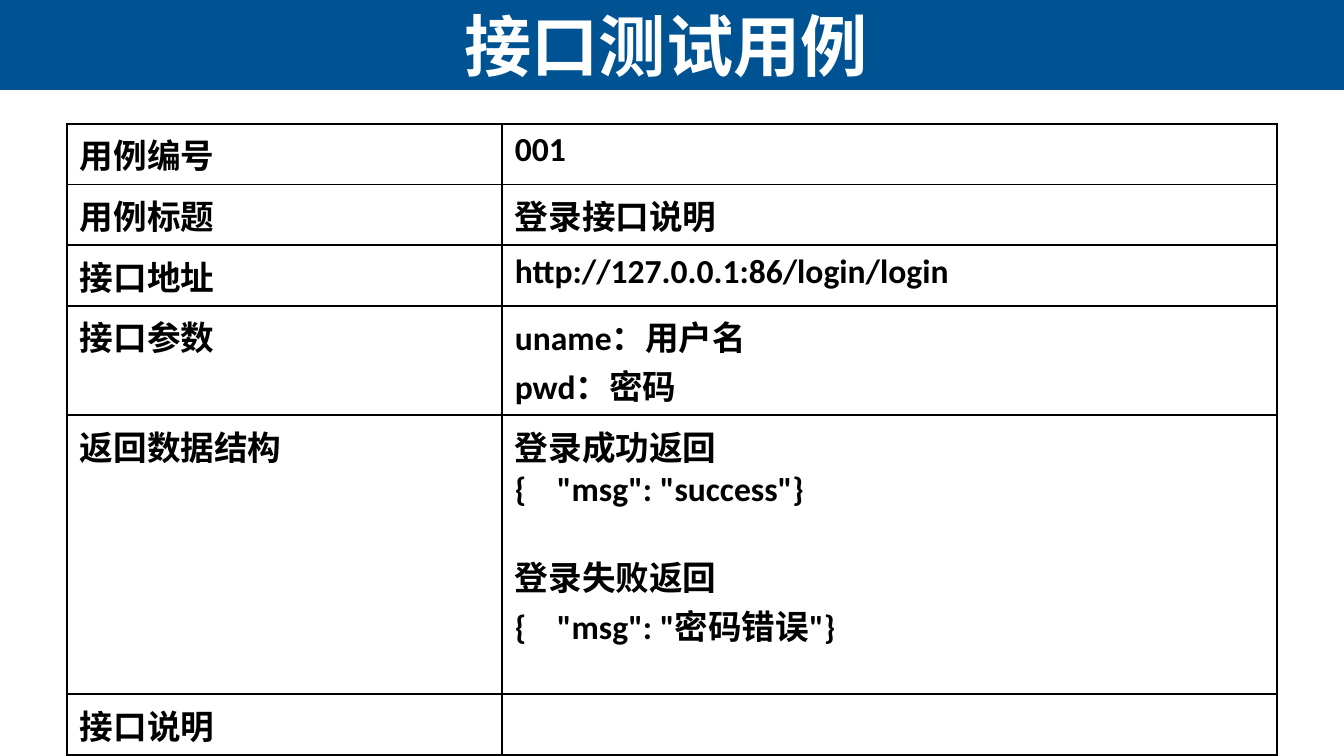
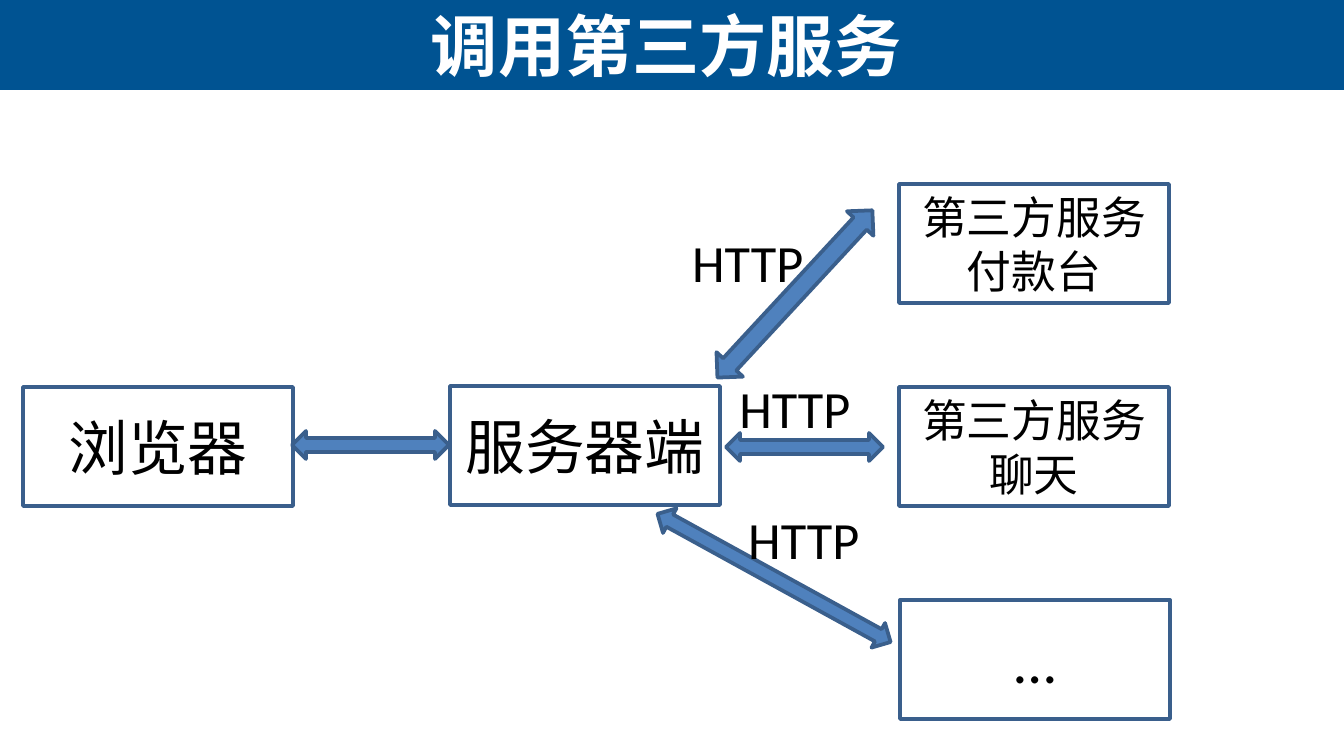
from lxml import etree
from pptx import Presentation
from pptx.dml.color import RGBColor
from pptx.enum import shapes, text
from pptx.oxml import ns
from pptx.util import Emu, Pt

SCALE = 914400 / 134.4  # EMU in one pixel


class Theme:
    band = RGBColor(0x00, 0x53, 0x92)
    arrow = RGBColor(0x4F, 0x81, 0xBD)
    edge = RGBColor(0x3A, 0x5F, 0x8C)
    white = RGBColor(255, 255, 255)
    black = RGBColor(0, 0, 0)
    head_font, body_font = "Arial", "Calibri"
    title, large, label, medium, small = 36, 32, 28, 24, 18
    edge_width = 2


def px(*lengths):
    return [Emu(round(length * SCALE)) for length in lengths]


def write(frame, lines, size, color=Theme.black, font=Theme.body_font, bold=False, align=None):
    """Put one paragraph per line into the frame, all in one style."""
    frame.text = "\n".join(lines)
    for para in frame.paragraphs:
        para.alignment = align
        para.font.name, para.font.size = font, Pt(size)
        para.font.bold, para.font.color.rgb = bold, color


deck = Presentation()
deck.slide_width, deck.slide_height = px(1344, 756)
layout = deck.slide_layouts[5]

# Shared title place
heading = layout.placeholders[0]
heading.left, heading.top, heading.width, heading.height = px(3, 0, 1326, 90)

# Pages with their titles
pages = []
for title in ("接口测试用例", "调用第三方服务"):
    page = deck.slides.add_slide(layout)
    frame = page.shapes.title.text_frame
    write(frame, [title], Theme.title, Theme.white, Theme.head_font, True, text.PP_ALIGN.CENTER)
    frame.vertical_anchor = text.MSO_ANCHOR.MIDDLE
    frame.auto_size, frame.word_wrap = text.MSO_AUTO_SIZE.NONE, True
    pages.append(page)
case_page, service_page = pages

# Shared band, moved to the layout behind the title
band = case_page.shapes.add_shape(shapes.MSO_SHAPE.RECTANGLE, *px(0, 0, 1344, 90))
band.shadow.inherit = False
band.fill.solid()
band.fill.fore_color.rgb = Theme.band
band.line.fill.background()
heading.element.addprevious(band.element)

# Test case table: row height, name, content
rows = [
    (51, "用例编号", ["001"]),
    (51, "用例标题", ["登录接口说明"]),
    (51, "接口地址", ["http://127.0.0.1:86/login/login"]),
    (91, "接口参数", ["uname：用户名", "pwd：密码"]),
    (279, "返回数据结构", ["登录成功返回", '{\t"msg": "success"}',
                     "登录失败返回", '{\t"msg": "密码错误"}']),
    (51, "接口说明", []),
]
total = sum(row[0] for row in rows)
table = case_page.shapes.add_table(len(rows), 2, *px(67, 124, 1210, total)).table
table.first_row = table.horz_banding = False
for column, width in zip(table.columns, px(435, 775)):
    column.width = width

for index, (height, name, content) in enumerate(rows):
    table.rows[index].height = px(height)[0]
    for cell, lines in zip(table.rows[index].cells, ([name], content)):
        write(cell.text_frame, lines, Theme.small, bold=True)
        cell.margin_left = cell.margin_right = px(13)[0]
        cell.margin_top = cell.margin_bottom = px(6)[0]
        # Black borders on all sides
        properties = cell._tc.get_or_add_tcPr()
        for side in ("lnL", "lnR", "lnT", "lnB"):
            border = etree.SubElement(properties, ns.qn(f"a:{side}"), w=str(Pt(1)))
            paint = etree.SubElement(border, ns.qn("a:solidFill"))
            etree.SubElement(paint, ns.qn("a:srgbClr"), val=str(Theme.black))
        cell.fill.solid()
        cell.fill.fore_color.rgb = Theme.white

# Gap between the two replies, and a tab stop inside the braces
replies = table.cell(4, 1).text_frame.paragraphs
replies[2].space_before = Pt(22)
for para in replies[1::2]:
    stops = etree.Element(ns.qn("a:tabLst"))
    etree.SubElement(stops, ns.qn("a:tab"), pos=str(px(42)[0]), algn="l")
    para.font._element.addprevious(stops)

# Service boxes: left, top, lines, size
boxes = [
    (450, 386, ["服务器端"], Theme.large),
    (23, 387, ["浏览器"], Theme.large),
    (899, 184, ["第三方服务", "付款台"], Theme.medium),
    (899, 387, ["第三方服务聊天"], Theme.medium),
    (900, 600, ["…"], Theme.large),
]
for left, top, lines, size in boxes:
    box = service_page.shapes.add_shape(shapes.MSO_SHAPE.RECTANGLE, *px(left, top, 270, 119))
    box.shadow.inherit = False
    box.fill.background()
    box.line.color.rgb, box.line.width = Theme.edge, Pt(Theme.edge_width)
    write(box.text_frame, lines, size, align=text.PP_ALIGN.CENTER)
    box.text_frame.vertical_anchor = text.MSO_ANCHOR.MIDDLE

# Double arrows: left, top, width, height, rotation
arrows = [
    (292, 431, 157, 28, 0),
    (726, 433, 157, 28, 0),
    (681, 276, 228, 36, 312.8),
    (641, 564, 266, 28, 28.8),
]
for *place, rotation in arrows:
    arrow = service_page.shapes.add_shape(shapes.MSO_SHAPE.LEFT_RIGHT_ARROW, *px(*place))
    arrow.rotation = rotation
    arrow.shadow.inherit = False
    arrow.fill.solid()
    arrow.fill.fore_color.rgb = Theme.arrow
    arrow.line.color.rgb, arrow.line.width = Theme.edge, Pt(Theme.edge_width)

# Protocol labels
for left, top in ((679, 224), (726, 370), (735, 501)):
    label = service_page.shapes.add_textbox(*px(left, top, 319, 77))
    label.text_frame.word_wrap = True
    label.text_frame.auto_size = text.MSO_AUTO_SIZE.SHAPE_TO_FIT_TEXT
    write(label.text_frame, ["HTTP"], Theme.label)

deck.save("out.pptx")
